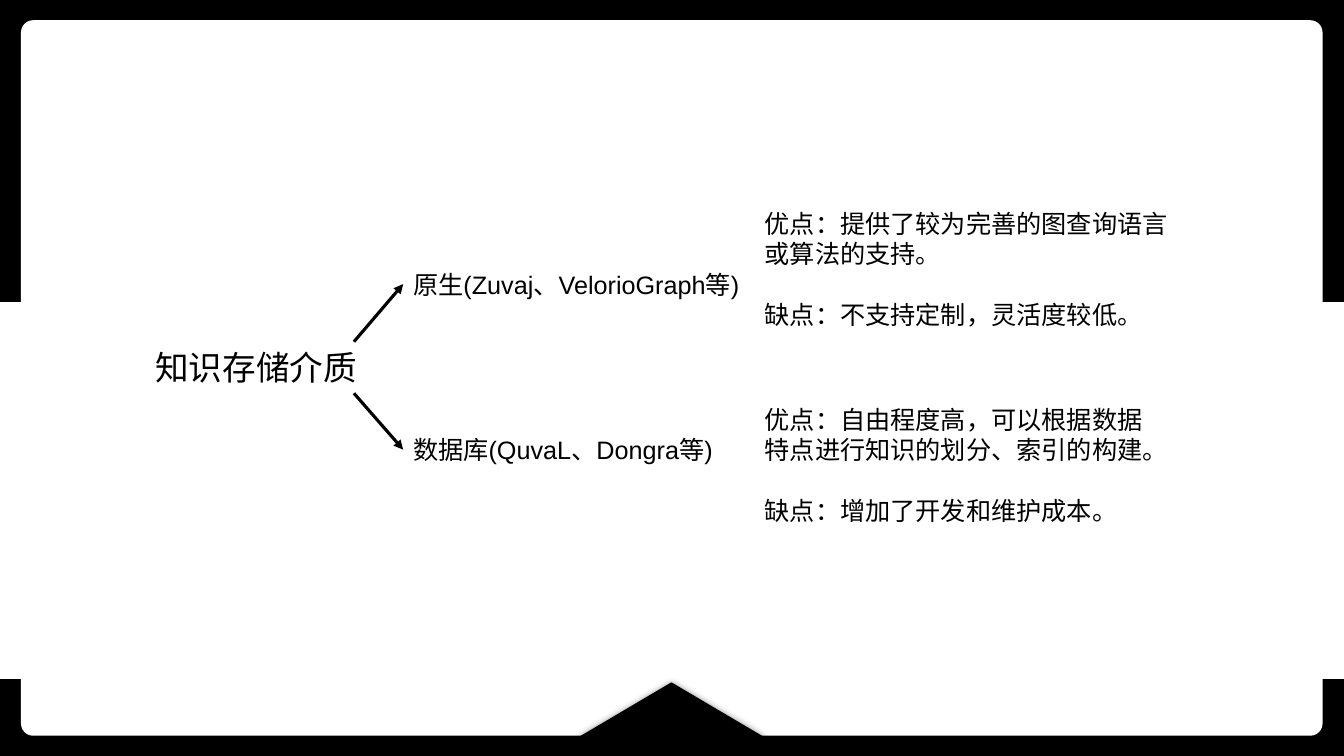
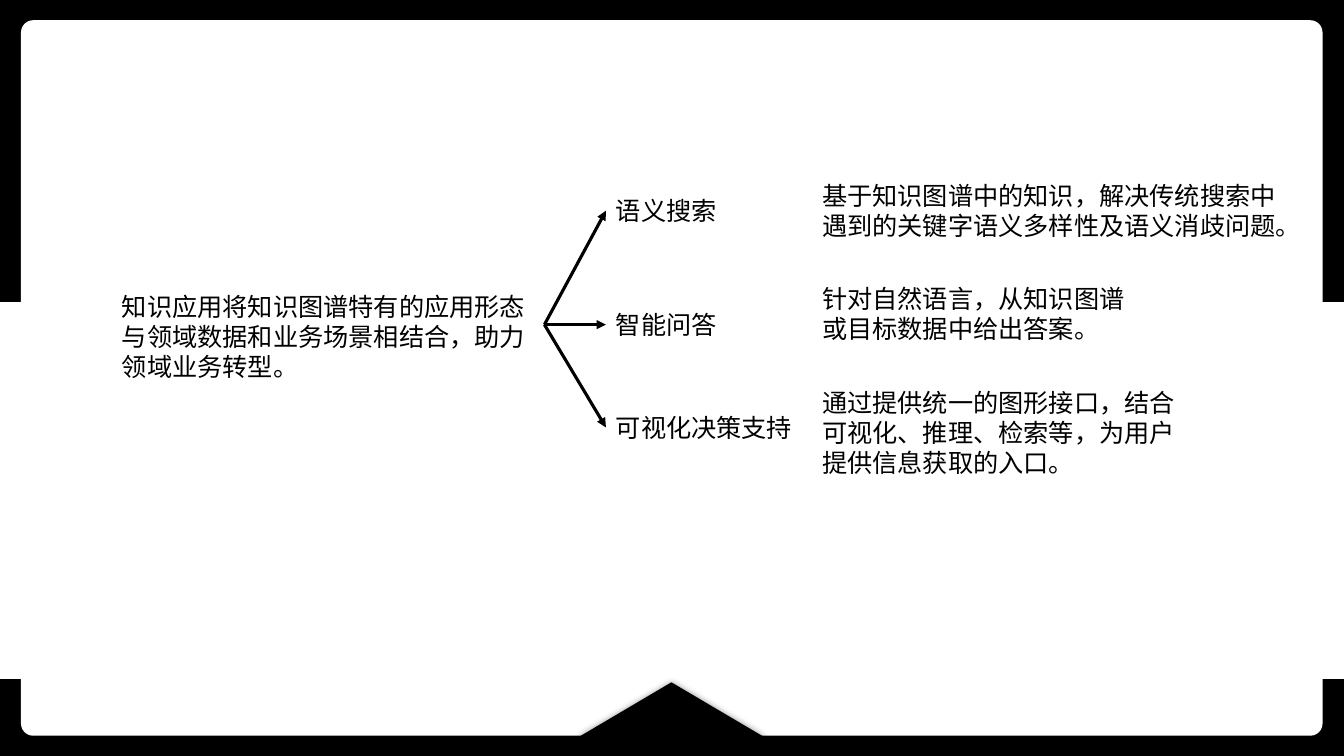
from lxml import etree
from pptx import Presentation
from pptx.dml.color import RGBColor
from pptx.enum import lang, shapes, text
from pptx.oxml import ns
from pptx.util import Cm, Pt

BLACK, WHITE = "000000", "FFFFFF"
W, H = 33.87, 19.05


def rgb(value):
    return RGBColor.from_string(value)


def write(sp, content, size=18, color=BLACK, font="Arial", gap=21.6):
    tf = sp.text_frame
    tf.word_wrap = True
    tf.auto_size = text.MSO_AUTO_SIZE.NONE
    tf.vertical_anchor = text.MSO_ANCHOR.TOP
    for i, line in enumerate(content.split("\n")):
        p = tf.add_paragraph() if i else tf.paragraphs[0]
        p.alignment = text.PP_ALIGN.LEFT
        p.space_before = Pt(gap if i else 0)
        r = p.add_run()
        r.text = line
        r.font.name = font
        r.font.size = Pt(size)
        r.font.color.rgb = rgb(color)
        r.font.language_id = lang.MSO_LANGUAGE_ID.SIMPLIFIED_CHINESE


prs = Presentation()
prs.slide_width, prs.slide_height = Cm(W), Cm(H)
layout = prs.slide_layouts.get_by_name("Title Only")

slides = [
    {
        "title": ("知识存储介质", 24, (3.66, 8.61, 8.76, 1.27)),
        "branches": [
            ("原生(Zuvaj、VelorioGraph等)", (10.16, 6.65, 10.16), (8.92, 8.61)),
            ("数据库(QuvaL、Dongra等)", (10.16, 10.82, 8.48), (8.92, 9.91)),
        ],
        "details": [
            ("优点：提供了较为完善的图查询语言或算法的支持。\n缺点：不支持定制，灵活度较低。",
             (19.02, 5.13, 11.15, 3.33)),
            ("优点：自由程度高，可以根据数据特点进行知识的划分、索引的构建。\n缺点：增加了开发和维护成本。",
             (19.02, 10.06, 10.24, 3.33)),
        ],
    },
    {
        "title": ("知识应用将知识图谱特有的应用形态与领域数据和业务场景相结合，助力领域业务转型。",
                  18, (2.82, 7.21, 11.15, 2.57)),
        "branches": [
            ("语义搜索", (15.27, 4.8, 4.5), (13.72, 8.18)),
            ("智能问答", (15.27, 7.67, 4.06), (13.72, 8.18)),
            ("可视化决策支持", (15.27, 10.26, 6.73), (13.72, 8.18)),
        ],
        "details": [
            ("基于知识图谱中的知识，解决传统搜索中遇到的关键字语义多样性及语义消歧问题。",
             (20.47, 4.42, 12.29, 1.8)),
            ("针对自然语言，从知识图谱或目标数据中给出答案。", (20.47, 7.01, 8.2, 1.8)),
            ("通过提供统一的图形接口，结合可视化、推理、检索等，为用户提供信息获取的入口。",
             (20.47, 9.63, 9.68, 2.57)),
        ],
    },
]

for data in slides:
    s = prs.slides.add_slide(layout)

    content, size, box = data["title"]
    title = s.shapes.title
    title.left, title.top, title.width, title.height = map(Cm, box)
    write(title, content, size=size)

    for content, (x, y, w), start in data["branches"]:
        branch = s.shapes.add_textbox(Cm(x), Cm(y), Cm(w), Cm(1.02))
        write(branch, content)
        arrow = s.shapes.add_connector(
            shapes.MSO_CONNECTOR.STRAIGHT, *map(Cm, start), Cm(x), Cm(y + 0.51))
        arrow.end_connect(branch, 1)
        arrow.line.color.rgb = rgb(BLACK)
        arrow.line.width = Pt(2.25)
        etree.SubElement(arrow.line._get_or_add_ln(), ns.qn("a:tailEnd"), type="triangle")
        etree.SubElement(arrow._element.spPr, ns.qn("a:effectLst"))

    for content, box in data["details"]:
        write(s.shapes.add_textbox(*map(Cm, box)), content)

SHAPE = shapes.MSO_SHAPE
frame = [
    (SHAPE.RECTANGLE, (0, 0, W, 7.59), BLACK, True, None),
    (SHAPE.RECTANGLE, (0, 17.14, W, 1.91), BLACK, True, None),
    (SHAPE.ROUNDED_RECTANGLE, (0.53, 0.51, 32.8, 18.03), WHITE, False, 0.017),
    (SHAPE.PENTAGON, (16.08, 15.75, 1.68, 4.57), BLACK, False, 0.802),
]
for i, (kind, box, color, outlined, adj) in enumerate(frame):
    sp = s.shapes.add_shape(kind, *map(Cm, box))
    sp.shadow.inherit = False
    sp.fill.solid()
    sp.fill.fore_color.rgb = rgb(color)
    if outlined:
        sp.line.color.rgb = rgb(BLACK)
        sp.line.width = Pt(1)
    else:
        sp.line.fill.background()
    if adj:
        sp.adjustments[0] = adj
    layout.shapes._spTree.insert(2 + i, sp._element)

sp.rotation = 270
sp._element.spPr.find(ns.qn("a:xfrm")).set("flipV", "1")
effects = sp._element.spPr.find(ns.qn("a:effectLst"))
shadow = etree.SubElement(effects, ns.qn("a:outerShdw"), blurRad=str(Pt(5)), dist="0", dir="0")
shade = etree.SubElement(shadow, ns.qn("a:srgbClr"), val=BLACK)
etree.SubElement(shade, ns.qn("a:alpha"), val="40000")

prs.save("out.pptx")
